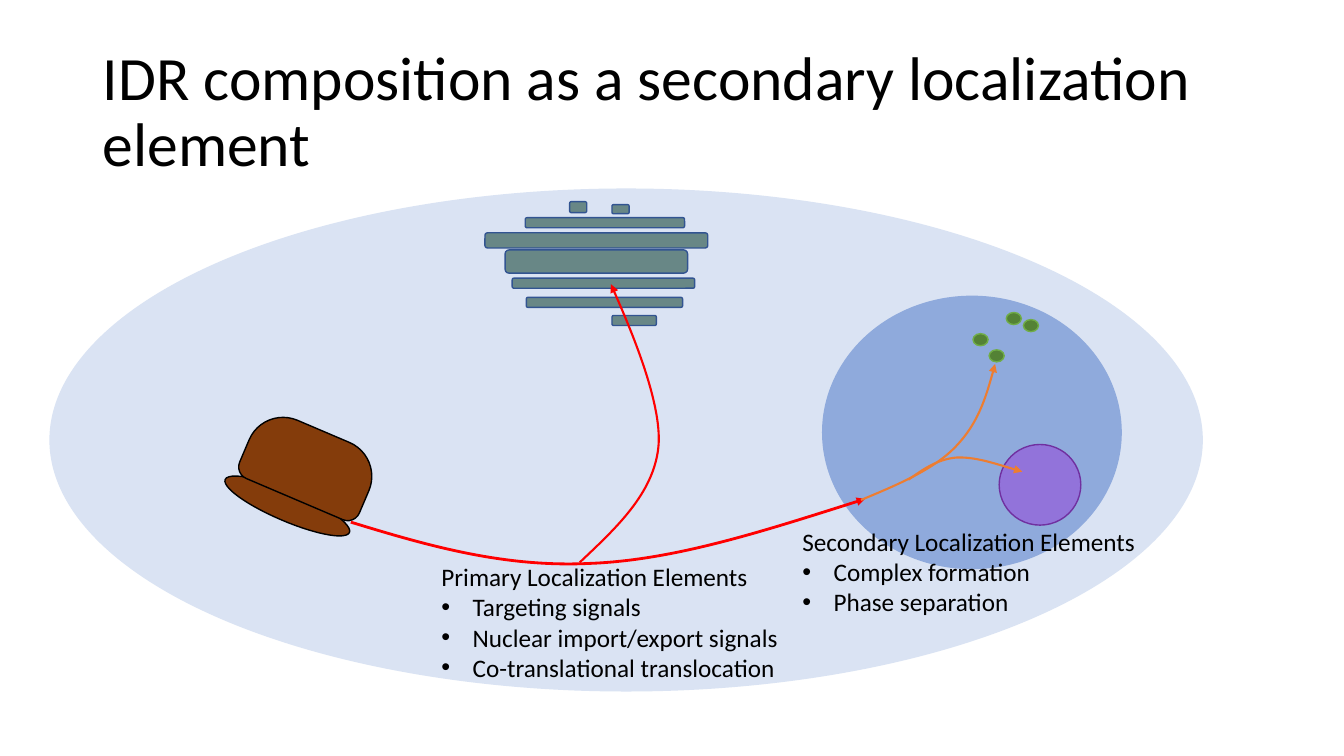
from dataclasses import dataclass

import pptx
import pptx.dml.color
import pptx.enum.shapes
import pptx.enum.text
import pptx.oxml
import pptx.oxml.ns
import pptx.util

EMU_PER_PX = 9144  # 100 px to the inch
SHAPES = pptx.enum.shapes.MSO_SHAPE


@dataclass(frozen=True)
class Theme:
    font: str = "Calibri"
    title_size: int = 44
    label_size: int = 18
    text: str = "000000"
    cell: str = "DAE3F3"
    nucleus: str = "8FAADC"
    nucleolus: str = "963ED9"
    nucleolus_edge: str = "7030A0"
    speckle: str = "548235"
    speckle_edge: str = "70AD47"
    golgi: str = "688786"
    golgi_edge: str = "325491"
    ribosome: str = "843C0B"
    ribosome_edge: str = "000000"
    primary_route: str = "FF0000"
    secondary_route: str = "ED7D31"


THEME = Theme()

SPECKLES = [(965, 331), (981, 347), (998, 310), (1015, 317)]
GOLGI_CISTERNAE = [
    (565, 200, 17, 11), (607, 203, 17, 9), (521, 216, 158, 10),
    (481, 231, 221, 15), (501, 248, 181, 23), (508, 276, 181, 10),
    (522, 295, 155, 10), (607, 313, 44, 10),
]
# Each route is a start point followed by three points per Bezier segment.
ROUTES = [
    ([(348, 518), (423, 541), (499, 563), (584, 559),
      (669, 556), (763, 525), (858, 495)], THEME.primary_route, 2),
    ([(575, 558), (611, 524), (648, 490), (653, 444),
      (658, 398), (606, 282), (606, 282)], THEME.primary_route, 1.5),
    ([(854, 496), (890, 481), (926, 466), (948, 443),
      (970, 420), (979, 391), (987, 361)], THEME.secondary_route, 1.5),
    ([(901, 476), (915, 466), (929, 456), (948, 454),
      (967, 453), (990, 461), (1014, 468)], THEME.secondary_route, 1.5),
]


def px(*lengths):
    return [pptx.util.Emu(length * EMU_PER_PX) for length in lengths]


def rgb(color):
    return pptx.dml.color.RGBColor.from_string(color)


def add_xml(parent, tag, **attributes):
    child = pptx.oxml.parse_xml(f"<a:{tag} {pptx.oxml.ns.nsdecls('a')}/>")
    for name, value in attributes.items():
        child.set(name, value)
    parent.append(child)
    return child


def add_organelle(slide, kind, box, fill, edge=None, rotation=0, opacity=100):
    organelle = slide.shapes.add_shape(kind, *px(*box))
    organelle.shadow.inherit = False
    organelle.rotation = rotation
    organelle.fill.solid()
    organelle.fill.fore_color.rgb = rgb(fill)
    if opacity < 100:
        color = next(organelle.fill._xPr.iter(pptx.oxml.ns.qn("a:srgbClr")))
        add_xml(color, "alpha", val=str(opacity * 1000))
    if edge:
        organelle.line.color.rgb = rgb(edge)
        organelle.line.width = pptx.util.Pt(1)
    else:
        organelle.line.fill.background()
    return organelle


def add_route(slide, points, color, width):
    """Draw a curved arrow, turning each three line steps into one Bezier."""
    builder = slide.shapes.build_freeform(*points[0], scale=EMU_PER_PX)
    builder.add_line_segments(points[1:], close=False)
    route = builder.convert_to_shape()
    route.shadow.inherit = False
    route.fill.background()
    route.line.color.rgb = rgb(color)
    route.line.width = pptx.util.Pt(width)
    add_xml(route.line._get_or_add_ln(), "tailEnd", type="triangle")

    steps = list(route._element.iter(pptx.oxml.ns.qn("a:lnTo")))
    outline = steps[0].getparent()
    for first in range(0, len(steps), 3):
        curve = add_xml(outline, "cubicBezTo")
        for step in steps[first:first + 3]:
            curve.append(step[0])
            outline.remove(step)


def write_text(paragraph, text, size, bullet=False, line_spacing=None):
    run = paragraph.add_run()
    run.text = text
    run.font.name = THEME.font
    run.font.size = pptx.util.Pt(size)
    run.font.color.rgb = rgb(THEME.text)
    paragraph.alignment = pptx.enum.text.PP_ALIGN.LEFT
    if line_spacing:
        paragraph.line_spacing = line_spacing
    if bullet:
        properties = paragraph._p.get_or_add_pPr()
        indent = px(31)[0]
        properties.set("marL", str(indent))
        properties.set("indent", str(-indent))
        add_xml(properties, "buFont", typeface="Arial")
        add_xml(properties, "buChar", char="•")


def add_title(slide, text, box):
    title = slide.shapes.title
    title.left, title.top, title.width, title.height = px(*box)
    frame = title.text_frame
    frame.auto_size = pptx.enum.text.MSO_AUTO_SIZE.NONE
    frame.vertical_anchor = pptx.enum.text.MSO_ANCHOR.MIDDLE
    write_text(frame.paragraphs[0], text, THEME.title_size, line_spacing=0.9)


def add_label(slide, box, heading, items, wrap=True):
    frame = slide.shapes.add_textbox(*px(*box)).text_frame
    frame.word_wrap = wrap
    frame.auto_size = pptx.enum.text.MSO_AUTO_SIZE.SHAPE_TO_FIT_TEXT
    write_text(frame.paragraphs[0], heading, THEME.label_size)
    for item in items:
        write_text(frame.add_paragraph(), item, THEME.label_size, bullet=True)


def add_ribosome(slide):
    colors = (THEME.ribosome, THEME.ribosome_edge)
    add_organelle(slide, SHAPES.OVAL, (218, 487, 134, 30), *colors, rotation=23.1)
    large_subunit = add_organelle(slide, SHAPES.ROUND_2_SAME_RECTANGLE,
                                  (242, 425, 129, 73), *colors, rotation=203.1)
    large_subunit.adjustments[0] = 0.17
    large_subunit.adjustments[1] = 0.5


def main():
    presentation = pptx.Presentation()
    presentation.slide_width, presentation.slide_height = px(1333, 750)
    slide = presentation.slides.add_slide(presentation.slide_layouts[5])

    add_title(slide, "IDR composition as a secondary localization element",
              (92, 40, 1150, 145))
    add_organelle(slide, SHAPES.OVAL, (49, 187, 1144, 499), THEME.cell)
    add_organelle(slide, SHAPES.OVAL, (816, 294, 296, 270),
                  THEME.nucleus, THEME.nucleus)
    add_organelle(slide, SHAPES.OVAL, (991, 441, 81, 80),
                  THEME.nucleolus, THEME.nucleolus_edge, opacity=50)
    for left, top in SPECKLES:
        add_organelle(slide, SHAPES.OVAL, (left, top, 15, 12),
                      THEME.speckle, THEME.speckle_edge)
    for box in GOLGI_CISTERNAE:
        add_organelle(slide, SHAPES.ROUNDED_RECTANGLE, box,
                      THEME.golgi, THEME.golgi_edge)
    add_ribosome(slide)
    for points, color, width in ROUTES:
        add_route(slide, points, color, width)

    add_label(slide, (428, 552, 358, 131), "Primary Localization Elements",
              ["Targeting signals", "Nuclear import/export signals",
               "Co-translational translocation"], wrap=False)
    add_label(slide, (786, 517, 434, 101), "Secondary Localization Elements",
              ["Complex formation", "Phase separation"])
    presentation.save("out.pptx")


if __name__ == "__main__":
    main()
